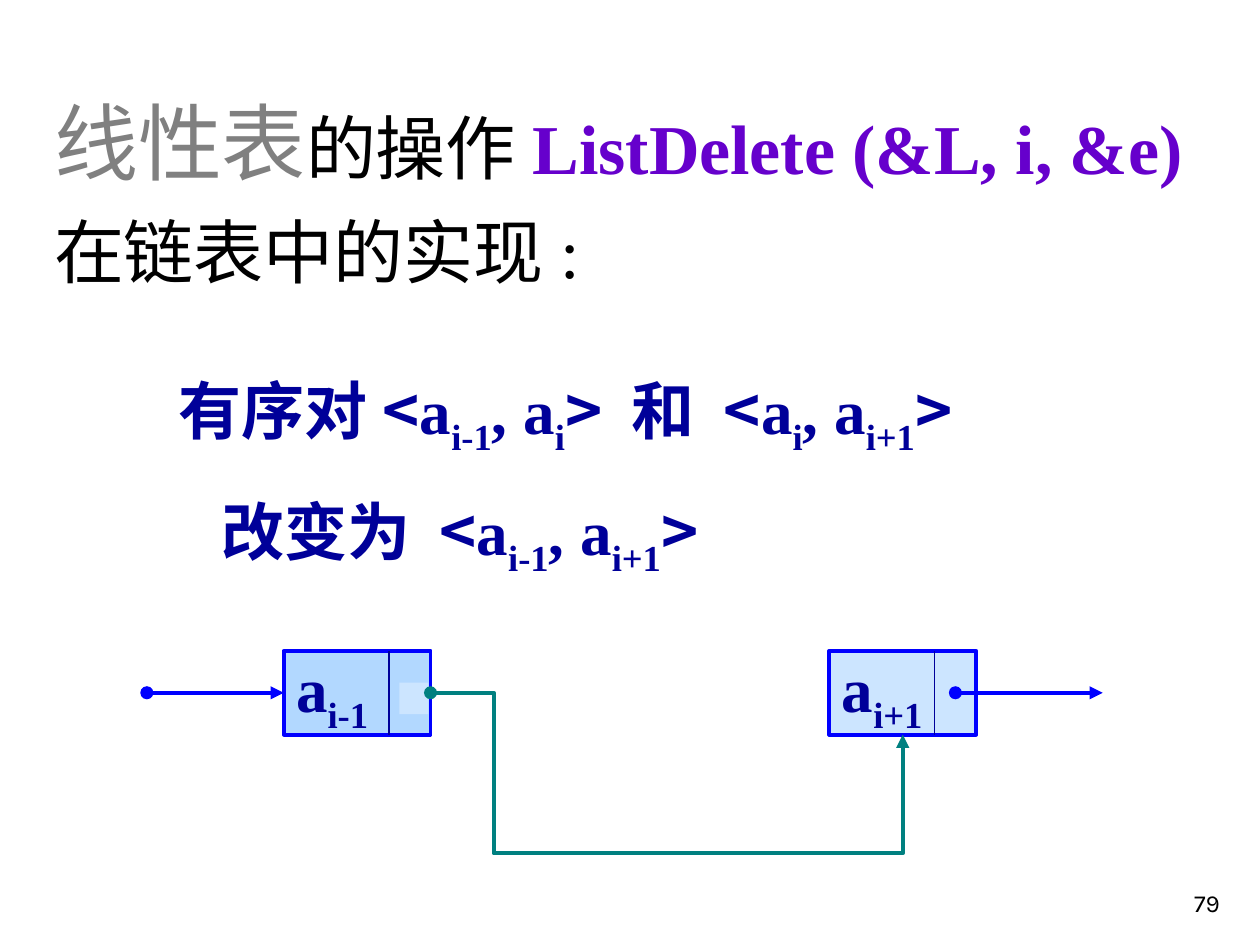
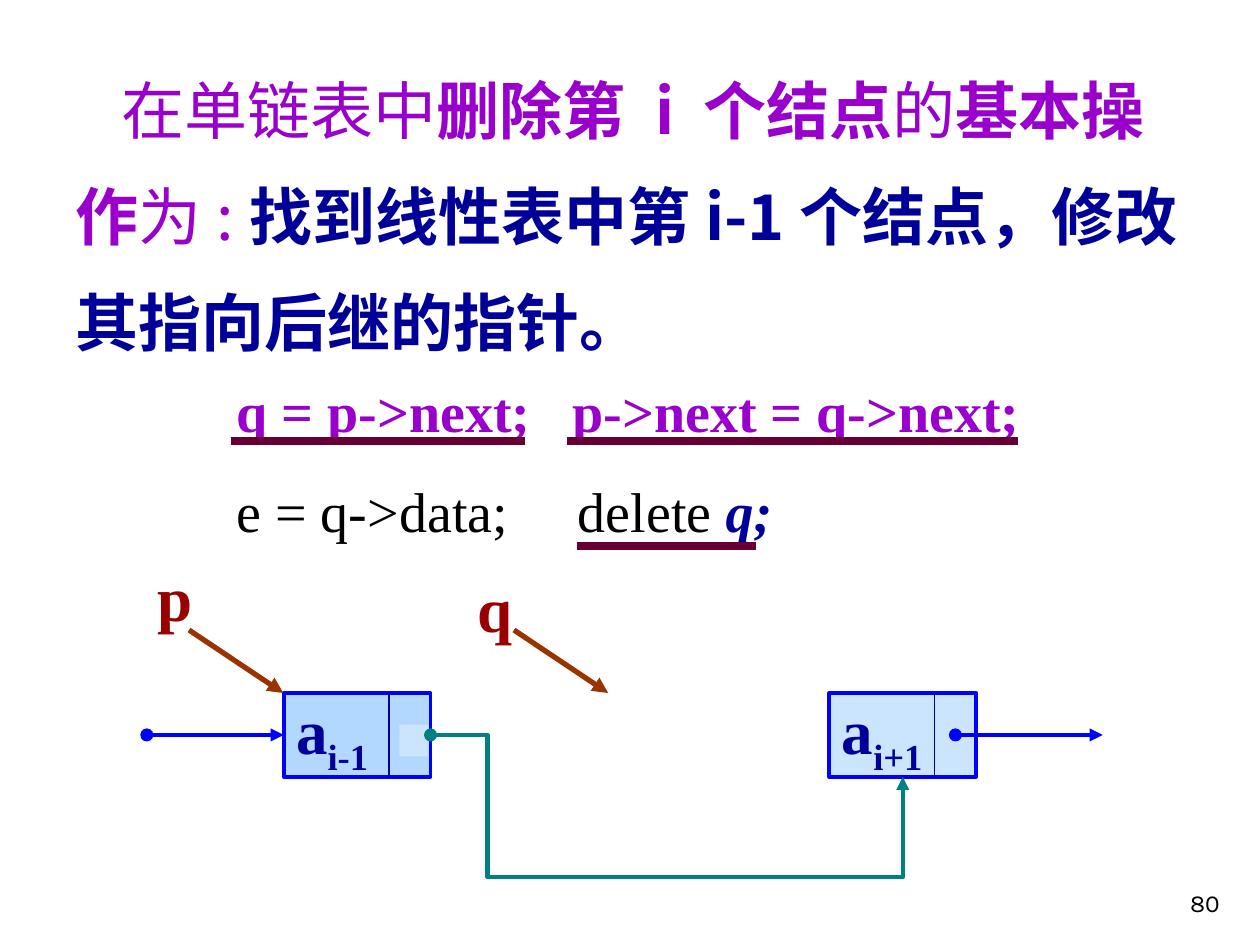
from dataclasses import dataclass, field

from lxml.etree import SubElement
from pptx import Presentation
from pptx.dml.color import RGBColor
from pptx.enum.shapes import MSO_CONNECTOR as CONN, MSO_SHAPE as SHAPE
from pptx.enum.text import MSO_ANCHOR as ANCHOR, PP_ALIGN as ALIGN
from pptx.oxml.ns import qn
from pptx.util import Cm, Pt

TIMES, NOTO, KARLA = "Times New Roman", "Noto Sans CJK SC", "Karla"
BLACK, GRAY, NAVY, BLUE = "000000", "808080", "000099", "0000FF"
VIOLET, PURPLE, TEAL = "6600CC", "9900CC", "008080"
RED, BROWN, WINE = "990000", "993300", "660033"
PALE, MID_BLUE = "CCE5FF", "B2D8FF"

NODE_W, NODE_H = 2.96, 1.69
LEFT_X, RIGHT_X = 5.72, 16.72
DIVIDER_DX = 2.12
NODE_TEXT = dict(name=TIMES, size=36, color=NAVY, bold=True)


@dataclass
class Run:
    text: str
    fmt: dict = field(default_factory=dict)


@dataclass
class Para:
    runs: list[Run]
    spacing: float | None = None
    indent: float = 0
    tab: float = 0
    align: ALIGN = ALIGN.LEFT


@dataclass
class Line:
    start: tuple[float, float]
    end: tuple[float, float]
    color: str
    width: float
    head: str = ""
    tail: str = ""


def rgb(value: str) -> RGBColor:
    return RGBColor.from_string(value)


def sub(text: str) -> Run:
    """A subscript run in the serif face."""
    return Run(text, dict(name=TIMES, baseline=-25000))


def serif(text: str) -> Run:
    return Run(text, dict(name=TIMES))


def element(letters: str, index: str) -> list[Run]:
    return [serif(letters), sub(index)]


def format_run(r, fmt: dict) -> None:
    for key, value in fmt.items():
        if key == "color":
            r.font.color.rgb = rgb(value)
        elif key == "baseline":
            r.font._element.set(key, str(value))
        else:
            setattr(r.font, key, Pt(value) if key == "size" else value)
    SubElement(r.font._element, qn("a:ea")).set("typeface", NOTO)


def write(tf, paras: list[Para], base: dict) -> None:
    """Fill a text frame; each run adds its own values to the base format."""
    tf.word_wrap = True
    for i, para in enumerate(paras):
        p = tf.add_paragraph() if i else tf.paragraphs[0]
        p.alignment = para.align
        if para.spacing:
            p.line_spacing = para.spacing
        pPr = p._p.get_or_add_pPr()
        if para.indent:
            pPr.set("indent", str(Cm(para.indent)))
        if para.tab:
            tabs = SubElement(pPr, qn("a:tabLst"))
            SubElement(tabs, qn("a:tab"), pos=str(Cm(para.tab)), algn="l")
        for run in para.runs:
            r = p.add_run()
            r.text = run.text
            format_run(r, base | run.fmt)


def add_text(s, x: float, y: float, w: float, h: float,
             paras: list[Para], base: dict, anchor: ANCHOR = ANCHOR.TOP) -> None:
    tf = s.shapes.add_textbox(Cm(x), Cm(y), Cm(w), Cm(h)).text_frame
    tf.vertical_anchor = anchor
    write(tf, paras, base)


def add_rect(s, x: float, y: float, w: float, h: float, fill: str, line: str = ""):
    sp = s.shapes.add_shape(SHAPE.RECTANGLE, Cm(x), Cm(y), Cm(w), Cm(h))
    sp.shadow.inherit = False
    sp.fill.solid()
    sp.fill.fore_color.rgb = rgb(fill)
    if line:
        sp.line.color.rgb = rgb(line)
        sp.line.width = Pt(2.25)
    else:
        sp.line.fill.background()
    return sp


def add_line(s, line: Line, kind: CONN = CONN.STRAIGHT):
    sp = s.shapes.add_connector(kind, *map(Cm, line.start + line.end))
    sp.line.color.rgb = rgb(line.color)
    sp.line.width = Pt(line.width)
    ln = sp.line._get_or_add_ln()
    for tag, end in (("a:headEnd", line.head), ("a:tailEnd", line.tail)):
        if end:
            SubElement(ln, qn(tag), type=end)
    SubElement(sp._element.spPr, qn("a:effectLst"))
    return sp


def add_node(s, x: float, y: float, index: str, fill: str):
    sp = add_rect(s, x, y, NODE_W, NODE_H, fill, BLUE)
    sp.text_frame.vertical_anchor = ANCHOR.MIDDLE
    write(sp.text_frame, [Para(element("a", index))], NODE_TEXT)
    divider = x + DIVIDER_DX
    add_line(s, Line((divider, y), (divider, y + NODE_H), NAVY, 0.75))
    return sp


def add_bypass(s, source, target, corner: tuple[float, float]) -> None:
    """Bent arrow from the source's right side, around the corner, to the target's bottom."""
    sp = add_line(s, Line((0, 0), (1, 1), TEAL, 2.5, "oval", "triangle"), CONN.ELBOW)
    sp.begin_connect(source, 3)
    sp.end_connect(target, 2)
    geom = sp._element.spPr.find(qn("a:prstGeom"))
    geom.set("prst", "bentConnector4")
    adjusts = geom.find(qn("a:avLst"))
    if adjusts is None:
        adjusts = SubElement(geom, qn("a:avLst"))
    ratios = ((Cm(corner[0]) - sp.left) / sp.width, (Cm(corner[1]) - sp.top) / sp.height)
    for i, ratio in enumerate(ratios, 1):
        SubElement(adjusts, qn("a:gd"), name=f"adj{i}", fmla=f"val {round(ratio * 100000)}")


def add_list_diagram(s, y: float, corner: tuple[float, float]) -> None:
    mid = y + NODE_H / 2
    left = add_node(s, LEFT_X, y, "i-1", MID_BLUE)
    add_rect(s, 8.05, y + 0.64, 0.59, 0.64, PALE)
    right = add_node(s, RIGHT_X, y, "i+1", PALE)
    for x1, x2 in ((2.96, LEFT_X), (19.26, 22.23)):
        add_line(s, Line((x1, mid), (x2, mid), BLUE, 2.5, "oval", "triangle"))
    add_bypass(s, left, right, corner)


def add_page_number(s, number: int) -> None:
    add_text(s, 19.56, 17.35, 5.28, 1.27,
             [Para([Run(str(number))], align=ALIGN.RIGHT)],
             dict(name=KARLA, size=14, color=BLACK), ANCHOR.BOTTOM)


def build_pairs_slide(s) -> None:
    add_text(s, 0.84, 1.3, 24.33, 4.72, [Para([
        Run("线性表", dict(size=48, color=GRAY)),
        Run("的操作"),
        Run("ListDelete (&L, i, &e)", dict(color=VIOLET, bold=True)),
        Run("在链表中的实现:"),
    ], 1.2)], dict(name=TIMES, size=40, color=BLACK))

    before = [Run("有序对<"), *element("a", "i-1"), *element(", a", "i"), Run("> 和 <"),
              *element("a", "i"), *element(", a", "i+1"), Run(">")]
    after = [Run("改变为 <"), *element("a", "i-1"), *element(", a", "i+1"), Run(">")]
    add_text(s, 3.35, 6.68, 16.76, 5.11,
             [Para(before, 1.4), Para(after, 1.4, indent=0.86)],
             dict(name=NOTO, size=36, color=NAVY, bold=True))
    add_list_diagram(s, 13.12, (9.96, 17.2))
    add_page_number(s, 79)


def build_pointers_slide(s) -> None:
    bold = dict(bold=True)
    add_text(s, 1.27, 0.71, 22.91, 6.63, [Para([
        Run("在单链表中"),
        Run("删除第 i 个结点", bold),
        Run("的"),
        Run("基本操作", bold),
        Run("为:"),
        Run("找到线性表中第i-1个结点，修改其指向后继的指针。", dict(bold=True, color=NAVY)),
    ], 1.4, indent=0.94)], dict(name=NOTO, size=36, color=PURPLE))
    add_list_diagram(s, 13.97, (9.83, 17.68))

    strong = dict(color=PURPLE, bold=True)
    add_text(s, 4.52, 6.78, 16.87, 4.32, [
        Para([Run("q = p->next;\tp->next = q->next;", strong)], 1.5, tab=6.77),
        Para([Run("e = q->data;\tdelete "),
              Run("q;", dict(color=NAVY, bold=True, italic=True))], 1.5, tab=6.88),
    ], dict(name=TIMES, size=32, color=BLACK))

    for name, x, y, arrow_x in (("p", 2.92, 11.13, 3.81), ("q", 9.37, 11.35, 10.36)):
        add_line(s, Line((arrow_x, 12.7), (arrow_x + 1.9, 13.97), BROWN, 3, tail="triangle"))
        add_text(s, x, y, 1.22, 1.78, [Para([Run(name)])], NODE_TEXT | dict(color=RED))
    for x1, x2, y in ((4.65, 10.59, 8.89), (11.43, 20.52, 8.89), (11.63, 15.24, 11)):
        add_line(s, Line((x1, y), (x2, y), WINE, 4.5))
    add_page_number(s, 80)


def main() -> None:
    prs = Presentation()
    prs.slide_width, prs.slide_height = Cm(25.4), Cm(19.05)
    for build in (build_pairs_slide, build_pointers_slide):
        build(prs.slides.add_slide(prs.slide_layouts[6]))
    prs.save("out.pptx")


if __name__ == "__main__":
    main()
